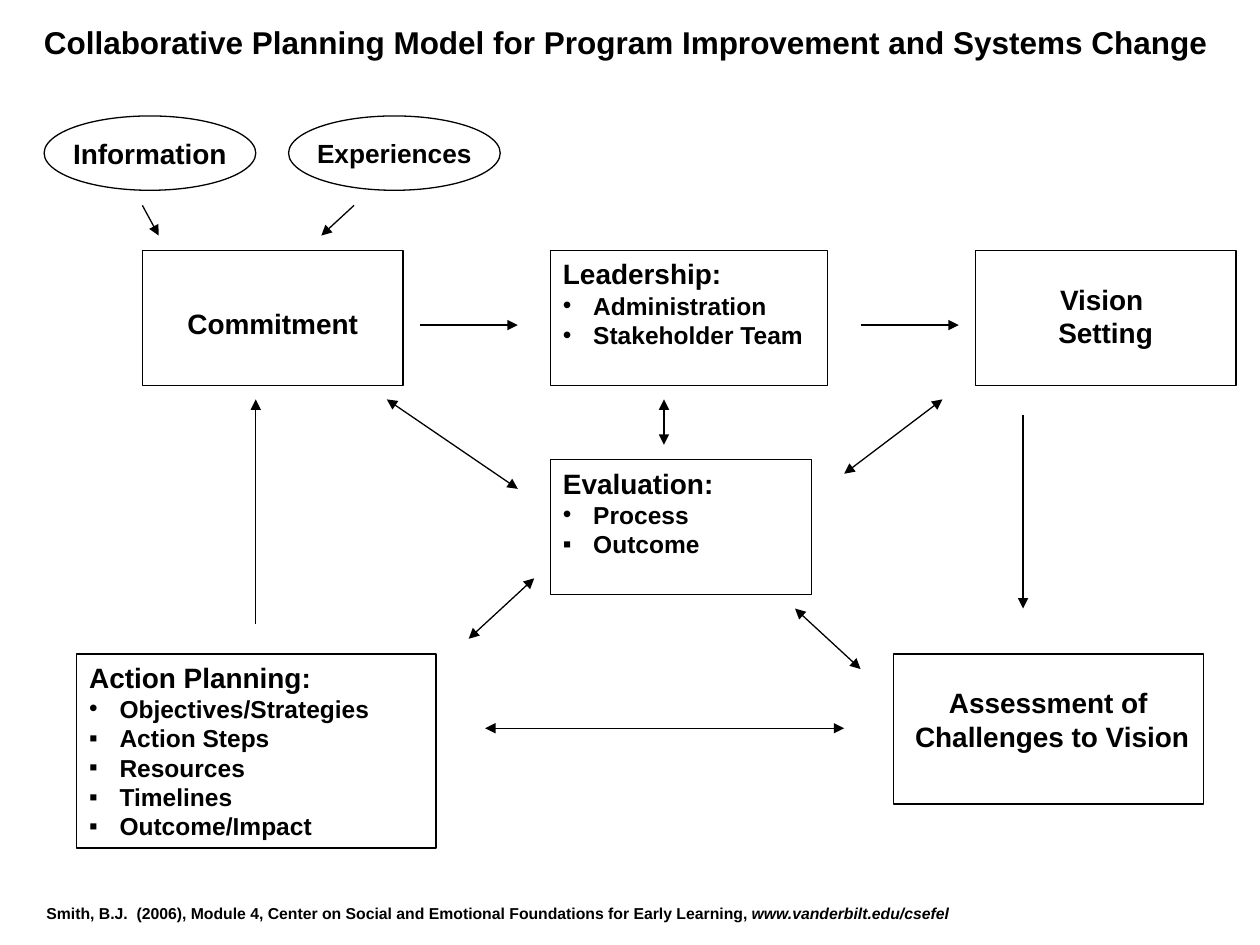
from lxml.etree import SubElement
from pptx import Presentation
from pptx.dml.color import RGBColor
from pptx.enum.shapes import MSO_CONNECTOR, MSO_SHAPE
from pptx.enum.text import MSO_ANCHOR, PP_ALIGN
from pptx.oxml.ns import qn
from pptx.util import Inches, Pt

COLORS = {"ink": "000000", "paper": "FFFFFF"}
FONT = "Arial"
HEADING_SIZE, ITEM_SIZE = 16, 14
BULLET_INDENT = 0.24

TITLE = "Collaborative Planning Model for Program Improvement and Systems Change"
CITATION = [
    ("Smith, B.J.  (2006), Module 4, Center on Social and Emotional Foundations "
     "for Early Learning, ", False),
    ("www.vanderbilt.edu/csefel", True),
]

# label, left, text size
INPUTS = [("Information", 0.35, 16), ("Experiences", 2.29, 15)]
INPUT_TOP, INPUT_WIDTH, INPUT_HEIGHT = 0.92, 1.68, 0.59

# left, top, width, height; top inset; centred lines
STAGES = [
    ((1.13, 1.99, 2.07, 1.07), 0.44, ["Commitment"]),
    ((7.74, 1.99, 2.07, 1.07), 0.25, ["Vision ", "Setting"]),
    ((7.09, 5.19, 2.46, 1.19), 0.25, ["Assessment of", " Challenges to Vision"]),
]

# left, top, width, height; heading; (bullet, item)
LISTS = [
    ((4.37, 1.99, 2.2, 1.07), "Leadership:",
     [("•", "Administration"), ("•", "Stakeholder Team")]),
    ((4.37, 3.65, 2.07, 1.07), "Evaluation:",
     [("•", "Process"), ("▪", "Outcome")]),
    ((0.61, 5.19, 2.85, 1.54), "Action Planning:",
     [("•", "Objectives/Strategies"), ("▪", "Action Steps"), ("▪", "Resources"),
      ("▪", "Timelines"), ("▪", "Outcome/Impact")]),
]

# start x, start y, end x, end y
ONE_WAY = [
    (1.13, 1.63, 1.26, 1.87), (2.81, 1.63, 2.55, 1.87),
    (3.33, 2.58, 4.11, 2.58), (6.83, 2.58, 7.61, 2.58),
    (8.12, 3.29, 8.12, 4.83), (2.03, 4.95, 2.03, 3.17),
]
TWO_WAY = [
    (6.7, 5.78, 3.85, 5.78), (3.07, 3.17, 4.11, 3.88),
    (5.27, 3.17, 5.27, 3.53), (7.48, 3.17, 6.7, 3.76),
    (6.31, 4.83, 6.83, 5.31), (4.24, 4.59, 3.72, 5.07),
]


def color(name):
    return RGBColor.from_string(COLORS[name])


def style(font, size):
    font.name, font.size, font.bold = FONT, Pt(size), True
    font.color.rgb = color("ink")


def add_outlined(page, preset, bounds):
    shape = page.shapes.add_shape(preset, *map(Inches, bounds))
    shape.shadow.inherit = False
    shape.fill.solid()
    shape.fill.fore_color.rgb = color("paper")
    shape.line.color.rgb = color("ink")
    shape.line.width = Pt(0.75)
    shape.text_frame.vertical_anchor = MSO_ANCHOR.TOP
    return shape


def write_lines(frame, lines, size, align):
    frame.text = "\n".join(lines)
    for para in frame.paragraphs:
        para.alignment = align
        for span in para.runs:
            style(span.font, size)


def add_bullet(para, mark):
    """Give the paragraph a hanging bullet."""
    properties = para._p.get_or_add_pPr()
    indent = Inches(BULLET_INDENT)
    properties.set("marL", str(indent))
    properties.set("indent", str(-indent))
    SubElement(properties, qn("a:buFont"), typeface=FONT)
    SubElement(properties, qn("a:buChar"), char=mark)


def add_arrow(page, points, both_ends):
    arrow = page.shapes.add_connector(MSO_CONNECTOR.STRAIGHT, *map(Inches, points))
    arrow.line.color.rgb = color("ink")
    arrow.line.width = Pt(0.75)
    line = arrow.line._get_or_add_ln()
    for end in ["headEnd", "tailEnd"] if both_ends else ["tailEnd"]:
        SubElement(line, qn(f"a:{end}"), type="triangle")
    SubElement(arrow._element.spPr, qn("a:effectLst"))


def add_text(page, bounds, spans, size):
    """Add a one-line text box from (text, italic) spans."""
    box = page.shapes.add_textbox(*map(Inches, bounds))
    box.text_frame.word_wrap = False
    para = box.text_frame.paragraphs[0]
    para.alignment = PP_ALIGN.LEFT
    for text, italic in spans:
        span = para.add_run()
        span.text = text
        style(span.font, size)
        span.font.italic = italic


def main():
    deck = Presentation()
    deck.slide_width, deck.slide_height = Inches(10), Inches(7.5)
    page = deck.slides.add_slide(deck.slide_layouts[6])

    add_text(page, (0.25, 0.13, 9.44, 0.4), [(TITLE, False)], 18)

    for label, left, size in INPUTS:
        oval = add_outlined(page, MSO_SHAPE.OVAL,
                            (left, INPUT_TOP, INPUT_WIDTH, INPUT_HEIGHT))
        frame = oval.text_frame
        frame.margin_left = frame.margin_right = 0
        frame.word_wrap = False
        frame.vertical_anchor = MSO_ANCHOR.MIDDLE
        write_lines(frame, [label], size, PP_ALIGN.CENTER)

    for bounds, inset, lines in STAGES:
        frame = add_outlined(page, MSO_SHAPE.RECTANGLE, bounds).text_frame
        frame.margin_top = Inches(inset)
        write_lines(frame, lines, HEADING_SIZE, PP_ALIGN.CENTER)

    for bounds, heading, items in LISTS:
        frame = add_outlined(page, MSO_SHAPE.RECTANGLE, bounds).text_frame
        write_lines(frame, [heading], HEADING_SIZE, PP_ALIGN.LEFT)
        for mark, item in items:
            para = frame.add_paragraph()
            para.text = item
            para.alignment = PP_ALIGN.LEFT
            add_bullet(para, mark)
            style(para.runs[0].font, ITEM_SIZE)

    for arrows, both_ends in [(ONE_WAY, False), (TWO_WAY, True)]:
        for points in arrows:
            add_arrow(page, points, both_ends)

    add_text(page, (0.27, 7.12, 7.37, 0.3), CITATION, 9)
    deck.save("out.pptx")


if __name__ == "__main__":
    main()
